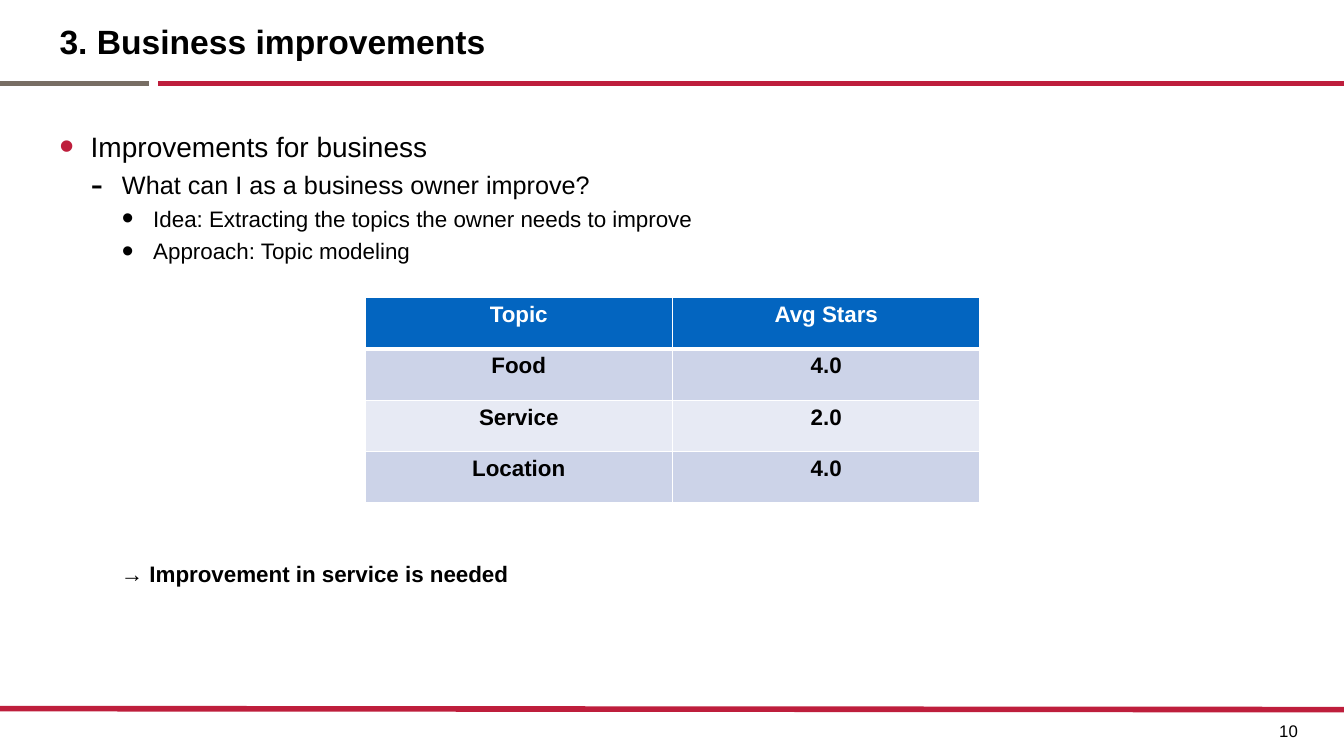
from lxml.etree import SubElement
from pptx import Presentation
from pptx.dml.color import RGBColor
from pptx.enum.shapes import MSO_CONNECTOR as Connector
from pptx.enum.text import MSO_ANCHOR as Anchor, MSO_AUTO_SIZE as AutoSize, PP_ALIGN as Align
from pptx.oxml.ns import qn
from pptx.util import Inches, Pt

RED = RGBColor(0xBE, 0x1E, 0x3C)
GREY = RGBColor(0x78, 0x6E, 0x64)
BLUE = RGBColor(0x03, 0x65, 0xC0)
BAND_DARK = RGBColor(0xCC, 0xD3, 0xE8)
BAND_LIGHT = RGBColor(0xE7, 0xEA, 0xF4)
BLACK = RGBColor(0, 0, 0)
WHITE = RGBColor(0xFF, 0xFF, 0xFF)

INDENT = 0.31
BULLETS = [
    (0, "•", 20, "Improvements for business"),
    (1, "-", 18, "What can I as a business owner improve?"),
    (2, "•", 16, "Idea: Extracting the topics the owner needs to improve"),
    (2, "•", 16, "Approach: Topic modeling"),
]
TOPIC_STARS = [
    ("Topic", "Avg Stars"),
    ("Food", "4.0"),
    ("Service", "2.0"),
    ("Location", "4.0"),
]


def write(para, text, size=16, color=BLACK, bold=False, align=Align.LEFT, spacing=None):
    para.alignment = align
    if spacing:
        para.line_spacing = spacing
    span = para.add_run()
    span.text = text
    span.font.name = "Arial"
    span.font.size = Pt(size)
    span.font.bold = bold
    span.font.color.rgb = color


def add_box(page, left, top, width, height, anchor=Anchor.TOP, wrap=True):
    box = page.shapes.add_textbox(Inches(left), Inches(top), Inches(width), Inches(height))
    frame = box.text_frame
    frame.word_wrap = wrap
    frame.auto_size = AutoSize.NONE
    frame.vertical_anchor = anchor
    frame.margin_left = frame.margin_right = Inches(0.04)
    frame.margin_top = frame.margin_bottom = Inches(0.04)
    return frame


def add_rule(page, start, end, color):
    x1, y1, x2, y2 = (Inches(value) for value in (*start, *end))
    rule = page.shapes.add_connector(Connector.STRAIGHT, x1, y1, x2, y2)
    rule.line.color.rgb = color
    rule.line.width = Pt(4)
    SubElement(rule._element.spPr, qn("a:effectLst"))


def set_bullet(para, level, mark, color):
    """Give a paragraph a large hanging bullet at its outline level."""
    para.level = level
    props = para._p.get_or_add_pPr()
    props.set("marL", str(Inches(INDENT * (level + 1))))
    props.set("indent", str(-Inches(INDENT)))
    tint = SubElement(props, qn("a:buClr"))
    SubElement(tint, qn("a:srgbClr"), val=str(color))
    SubElement(props, qn("a:buSzPct"), val="150000")
    SubElement(props, qn("a:buFont"), typeface="Arial")
    SubElement(props, qn("a:buChar"), char=mark)


def add_bullets(page, items):
    frame = add_box(page, 0.55, 1.18, 12.27, 1.6)
    for index, (level, mark, size, text) in enumerate(items):
        para = frame.add_paragraph() if index else frame.paragraphs[0]
        write(para, text, size=size, spacing=1.2)
        set_bullet(para, level, mark, BLACK if level else RED)


def set_borders(cell, **widths):
    """Draw white cell borders; widths are points by side, left, right, top, bottom."""
    props = cell._tc.get_or_add_tcPr()
    for position, side in enumerate("LRTB"):
        border = SubElement(props, qn(f"a:ln{side}"), w=str(Pt(widths.get(side, 1))))
        fill = SubElement(border, qn("a:solidFill"))
        SubElement(fill, qn("a:srgbClr"), val=str(WHITE))
        props.insert(position, border)


def add_topic_table(page, rows):
    shape = page.shapes.add_table(len(rows), len(rows[0]), Inches(3.62), Inches(2.95),
                                  Inches(6.1), Inches(0.51 * len(rows)))
    for r, values in enumerate(rows):
        header = r == 0
        band = BLUE if header else BAND_DARK if r % 2 else BAND_LIGHT
        for c, value in enumerate(values):
            cell = shape.table.cell(r, c)
            cell.fill.solid()
            cell.fill.fore_color.rgb = band
            write(cell.text_frame.paragraphs[0], value, bold=True, align=Align.CENTER,
                  color=WHITE if header else BLACK)
            set_borders(cell, B=3 if header else 1, T=3 if r == 1 else 1)


def main():
    deck = Presentation()
    deck.slide_width, deck.slide_height = Inches(13.33), Inches(7.5)
    page = deck.slides.add_slide(deck.slide_layouts[6])

    add_rule(page, (0, 7.03), (13.33, 7.04), RED)
    add_rule(page, (1.57, 0.83), (13.33, 0.83), RED)
    add_rule(page, (0, 0.83), (1.48, 0.83), GREY)

    title = add_box(page, 0.55, 0.13, 12.28, 0.56, anchor=Anchor.MIDDLE)
    write(title.paragraphs[0], "3. Business improvements", size=24, bold=True)
    add_bullets(page, BULLETS)
    add_topic_table(page, TOPIC_STARS)
    conclusion = add_box(page, 1.16, 5.46, 11.66, 0.4)
    write(conclusion.paragraphs[0], "→ Improvement in service is needed", bold=True, spacing=1.2)
    number = add_box(page, 12.57, 7.11, 0.42, 0.28, wrap=False)
    write(number.paragraphs[0], "10", size=12, align=Align.CENTER)

    deck.save("out.pptx")


if __name__ == "__main__":
    main()
